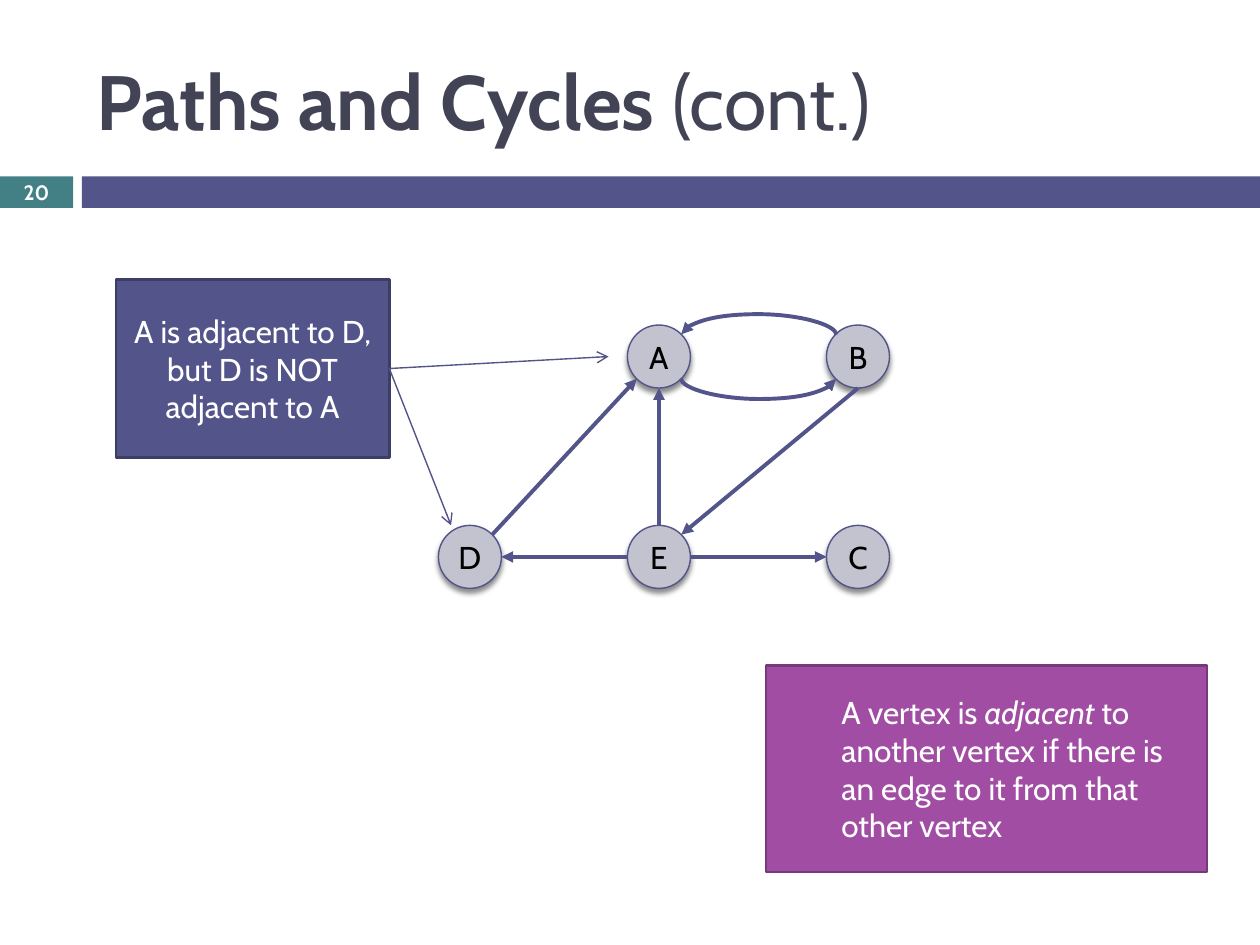
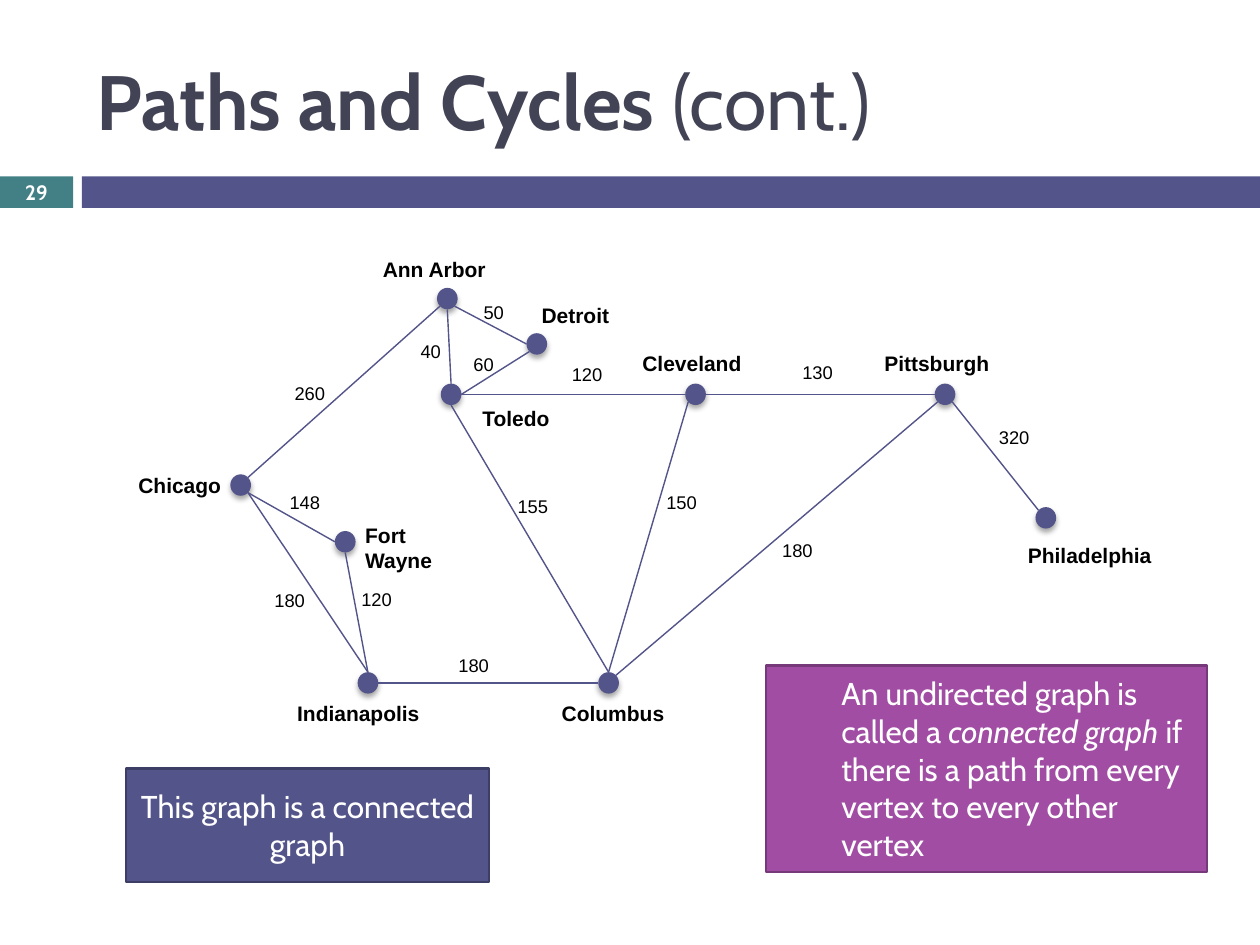
from math import sin, cos, radians
from pptx import Presentation
from pptx.util import Inches, Pt
from pptx.dml.color import RGBColor as RGB
from pptx.enum.shapes import MSO_SHAPE as SHAPE, MSO_CONNECTOR as CONN
from pptx.enum.text import PP_ALIGN as ALIGN, MSO_ANCHOR as ANCHOR
from pptx.oxml.ns import qn
from lxml.etree import SubElement as Sub

deck = Presentation()
deck.slide_width, deck.slide_height = Inches(10), Inches(7.5)
COL = deck.slide_width / 100
ROW = deck.slide_height / 75

HUE = {"teal": "438086", "blue": "53548A", "navy": "3D3E66", "plum": "A04DA3",
       "dark": "763979", "ink": "424456", "grey": "C3C3CF",
       "black": "000000", "white": "FFFFFF"}
FONT = {
    "title": {"name": "Cabin", "size": Pt(44), "bold": True},
    "page": {"name": "Cabin", "size": Pt(11.9), "bold": True},
    "body": {"name": "Cabin", "size": Pt(18)},
    "city": {"name": "Arial", "size": Pt(12), "bold": True},
    "miles": {"name": "Arial", "size": Pt(10.5)},
}
MID = {"anchor": ANCHOR.MIDDLE, "wrap": True}
LABEL = {"anchor": ANCHOR.TOP, "wrap": False}
NOTE = {"fill": "blue", "edge": "navy", "thick": 1.5, "hue": "white", "align": ALIGN.CENTER}
RULE = {"fill": "plum", "edge": "dark", "thick": 1.5, "hue": "white", "indent": 5}
NODE = {"kind": SHAPE.OVAL, "fill": "grey", "edge": "blue", "hue": "black",
        "align": ALIGN.CENTER, "shade": (45, 2.4)}
DOT = {"kind": SHAPE.OVAL, "fill": "blue", "shade": (35, 2)}


def box(slide, area, runs=(), font="body", kind=SHAPE.RECTANGLE, fill=None, edge=None,
        thick=0.79, hue="black", align=ALIGN.LEFT, indent=0, shade=None, frame=MID):
    x, y, w, h = area
    place = [round(n) for n in (x * COL, y * ROW, w * COL, h * ROW)]
    if fill:
        item = slide.shapes.add_shape(kind, *place)
        item.shadow.inherit = False
        item.fill.solid()
        item.fill.fore_color.rgb = RGB.from_string(HUE[fill])
        if edge:
            item.line.color.rgb = RGB.from_string(HUE[edge])
            item.line.width = Pt(thick)
        else:
            item.line.fill.background()
    else:
        item = slide.shapes.add_textbox(*place)
    if shade:
        glow = Sub(item._element.spPr.find(qn("a:effectLst")), qn("a:outerShdw"),
                   blurRad=str(Pt(3)), dist=str(Pt(shade[1])), dir="5400000", rotWithShape="0")
        tint = Sub(glow, qn("a:srgbClr"), val=HUE["black"])
        Sub(tint, qn("a:alpha"), val=str(shade[0] * 1000))
    if runs:
        text = item.text_frame
        text.vertical_anchor, text.word_wrap = frame["anchor"], frame["wrap"]
        if kind == SHAPE.OVAL:
            text.margin_left = text.margin_right = 0
        para = text.paragraphs[0]
        para.alignment = align
        if indent:
            para._p.get_or_add_pPr().set("marL", str(round(indent * COL)))
        for words, extra in runs:
            for i, line in enumerate(words.split("\n")):
                if i:
                    para.add_line_break()
                run = para.add_run()
                run.text = line
                for key, val in {**FONT[font], **extra}.items():
                    setattr(run.font, key, val)
                run.font.color.rgb = RGB.from_string(HUE[hue])
    return item


def link(slide, start, end, thick=0.79, head=None, kind=CONN.STRAIGHT):
    ends = [round(n) for x, y in (start, end) for n in (x * COL, y * ROW)]
    line = slide.shapes.add_connector(kind, *ends)
    line.line.color.rgb = RGB.from_string(HUE["blue"])
    line.line.width = Pt(thick)
    props = line._element.spPr
    if head:
        Sub(props.find(qn("a:ln")), qn("a:tailEnd"), type=head)
    Sub(props, qn("a:effectLst"))
    return line


pages = []
for page, rule in [
    ("20", [("A vertex is ", {}), ("adjacent", {"italic": True}),
            (" to another vertex if there is an edge to it from that other vertex", {})]),
    ("29", [("An undirected graph is called a ", {}), ("connected graph ", {"italic": True}),
            ("if there is a path from every vertex to every other vertex", {})]),
]:
    slide = deck.slides.add_slide(deck.slide_layouts[6])
    box(slide, (0, 14, 5.8, 2.5), fill="teal")
    box(slide, (6.5, 14, 93.5, 2.5), fill="blue")
    box(slide, (6.7, 2.5, 89.2, 10.8),
        [("Paths and Cycles ", {}), ("(cont.)", {"bold": False})], "title", hue="ink")
    box(slide, (0, 13.9, 5.8, 2.7), [(page, {})], "page", hue="white", align=ALIGN.CENTER)
    box(slide, (60.8, 52.8, 35, 16.4), rule, **RULE)
    pages.append(slide)
first, last = pages

SITE = [(-sin(radians(45 * k)), -cos(radians(45 * k))) for k in range(8)]

SIZE = 5
spots = {"A": (52.3, 28.3), "E": (52.3, 44.2), "D": (37.3, 44.2),
         "B": (68.1, 28.3), "C": (68.1, 44.2)}
for name, (x, y) in spots.items():
    box(first, (x - SIZE / 2, y - SIZE / 2, SIZE, SIZE), [(name, {})], **NODE)
for a, i, b, j in [("E", 0, "A", 4), ("E", 2, "D", 6), ("D", 7, "A", 3),
                   ("E", 6, "C", 2), ("B", 4, "E", 7)]:
    start, end = [[c + SIZE / 2 * d for c, d in zip(spots[n], SITE[k])]
                  for n, k in ((a, i), (b, j))]
    link(first, start, end, 2.25, "triangle")

THIN, SPAN, BULGE = 0.02, 12.3, 1.65
for top, turn in [(20.4, 270), (23.9, 90)]:
    arc = link(first, (60.2, top + SPAN), (60.2 + THIN, top), 2.25, "triangle", CONN.CURVE)
    props = arc._element.spPr
    props.find(qn("a:xfrm")).set("rot", str(turn * 60000))
    geom = props.find(qn("a:prstGeom"))
    bend = geom.find(qn("a:avLst"))
    if bend is None:
        bend = Sub(geom, qn("a:avLst"))
    Sub(bend, qn("a:gd"), name="adj1", fmla=f"val {round(BULGE / THIN * 100000)}")

note = box(first, (9.2, 22.2, 21.7, 14.1),
           [("A is adjacent to D, but D is NOT adjacent to A", {})], **NOTE)
for end in [(35.8, 41.7), (48.3, 28.3)]:
    link(first, (30.9, 29.25), end, head="arrow").begin_connect(note, 3)

WIDE, TALL = 1.64, 1.7
towns = {
    "Indianapolis": (29.2, 54.2, 22.6, 55.1, 11.9),
    "Columbus": (48.3, 54.2, 43.6, 55.1, 10.3),
    "Chicago": (19.1, 38.5, 10, 37, 8.7),
    "Fort\nWayne": (27.4, 43, 28, 41, 7.4),
    "Toledo": (35.8, 31.3, 37.3, 31.7, 7.4),
    "Ann Arbor": (35.5, 23.7, 29.4, 19.9, 10.3),
    "Detroit": (42.6, 27.3, 42, 23.5, 7.4),
    "Cleveland": (55.2, 31.3, 50, 27.3, 10),
    "Pittsburgh": (75, 31.3, 69.2, 27.3, 10.5),
    "Philadelphia": (83, 41.1, 80.6, 42.6, 12),
}
for name, (x, y, left, top, width) in towns.items():
    box(last, (x - WIDE / 2, y - TALL / 2, WIDE, TALL), **DOT)
    high = 3 + 2.1 * name.count("\n")
    box(last, (left, top, width, high), [(name, {})], "city", frame=LABEL)

roads = [
    ("Indianapolis", 6, "Columbus", 2, "180", 35.4, 51.4),
    ("Indianapolis", 0, "Fort\nWayne", 4, "120", 27.7, 46.2),
    ("Indianapolis", 0, "Chicago", 5, "180", 20.8, 46.3),
    ("Fort\nWayne", 2, "Chicago", 5, "148", 22, 38.5),
    ("Toledo", 0, "Ann Arbor", 4, "40", 32.4, 26.5),
    ("Toledo", 6, "Detroit", 3, "60", 36.6, 27.5),
    ("Detroit", 2, "Ann Arbor", 5, "50", 37.4, 23.4),
    ("Ann Arbor", 3, "Chicago", 7, "260", 22.4, 29.8),
    ("Toledo", 4, "Columbus", 0, "155", 40.1, 38.8),
    ("Columbus", 0, "Cleveland", 3, "150", 51.9, 38.5),
    ("Cleveland", 6, "Pittsburgh", 2, "130", 62.7, 28.2),
    ("Cleveland", 2, "Toledo", 6, "120", 44.4, 28.3),
    ("Pittsburgh", 5, "Philadelphia", 1, "320", 78.3, 33.3),
    ("Pittsburgh", 3, "Columbus", 7, "180", 61.1, 42.3),
]
for a, i, b, j, miles, left, top in roads:
    start, end = [(towns[n][0] + WIDE / 2 * SITE[k][0], towns[n][1] + TALL / 2 * SITE[k][1])
                  for n, k in ((a, i), (b, j))]
    link(last, start, end)
    box(last, (left, top, 1.9 + 0.9 * len(miles), 2.9), [(miles, {})], "miles", frame=LABEL)

box(last, (10, 61, 28.8, 9), [("This graph is a connected graph", {})], **NOTE)

deck.save("out.pptx")
